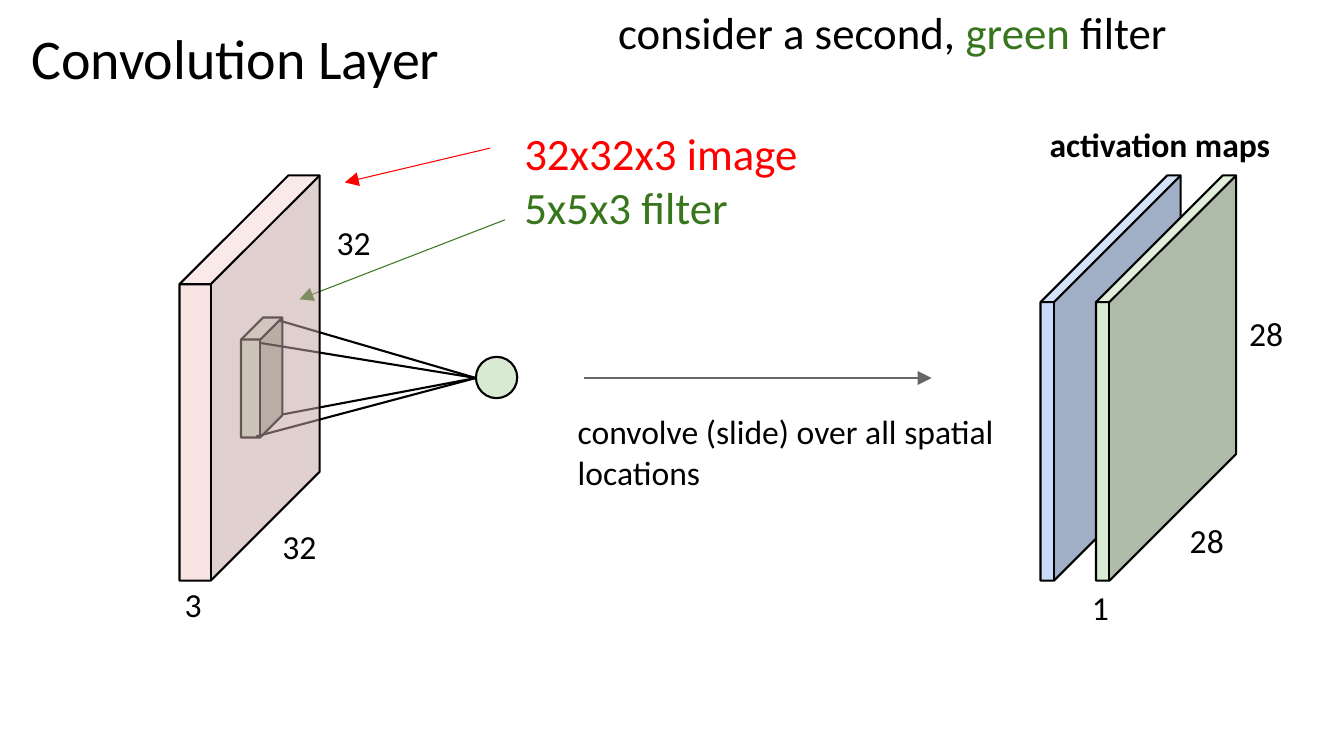
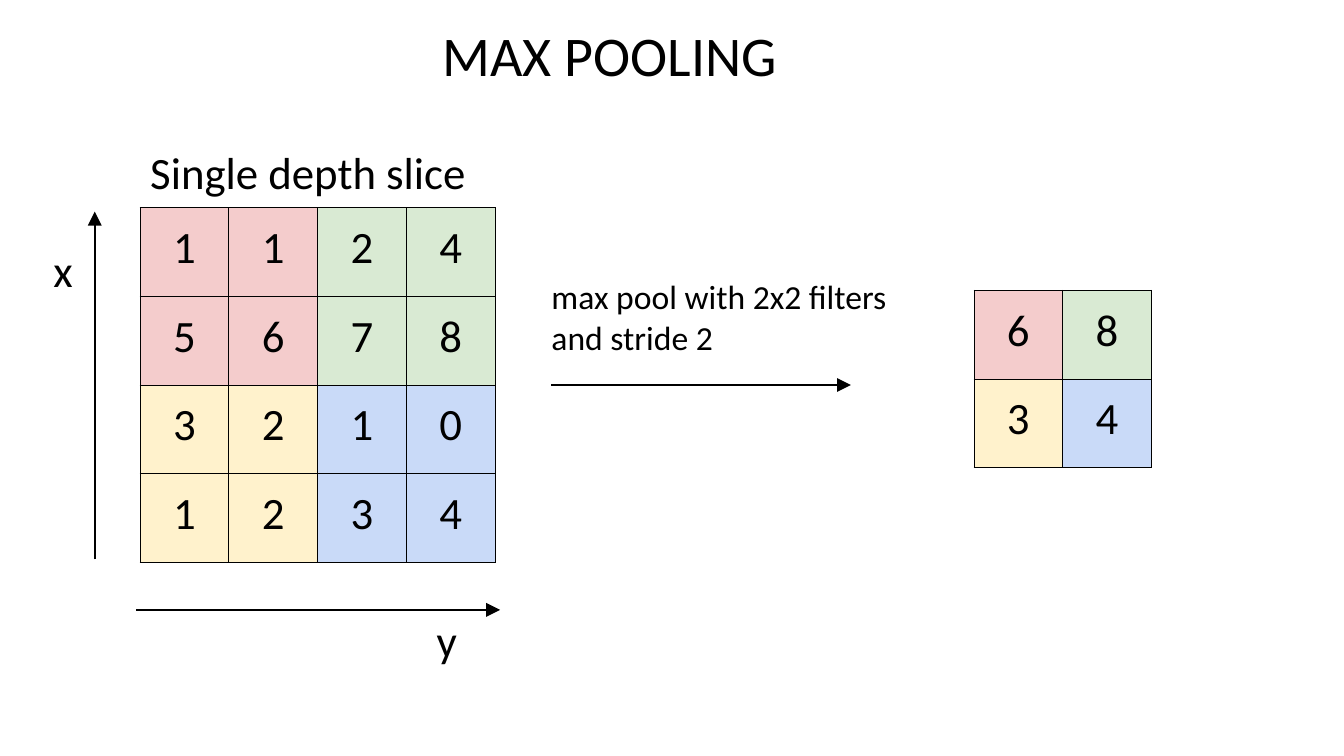
"""Build two slides that explain convolution layers and max pooling."""
from lxml import etree
from pptx import Presentation
from pptx.dml.color import RGBColor
from pptx.enum.shapes import MSO_CONNECTOR as CONNECTOR, MSO_SHAPE as SHAPE
from pptx.enum.text import MSO_ANCHOR as ANCHOR, MSO_AUTO_SIZE as AUTO_SIZE, PP_ALIGN as ALIGN
from pptx.oxml.ns import qn
from pptx.util import Emu, Pt

PX = 9144
FONT = "Calibri"
INSET = 13
BLACK, RED, GREEN, GRAY = "000000", "FF0000", "38761D", "666666"
PINK, MINT, SKY, CREAM = "F4CCCC", "D9EAD3", "C9DAF8", "FFF2CC"
QUADRANTS = ((PINK, MINT), (CREAM, SKY))


def px(n):
    """Turn px into EMU."""
    return Emu(n * PX)


def rgb(color):
    """Turn a hex string into a colour."""
    return RGBColor.from_string(color)


def add_run(p, text, size, color=BLACK, bold=False):
    """Add one formatted run to a paragraph."""
    r = p.add_run()
    r.text = text
    r.font.name = FONT
    r.font.size = Pt(size)
    r.font.bold = bold
    r.font.color.rgb = rgb(color)


def set_frame(tf):
    """Give a text frame the shared insets, wrap and anchor."""
    tf.word_wrap = True
    tf.auto_size = AUTO_SIZE.NONE
    tf.vertical_anchor = ANCHOR.TOP
    tf.margin_left = tf.margin_top = tf.margin_right = tf.margin_bottom = px(INSET)


def add_slide(prs, text, x, y, w, h):
    """Add a title-only slide and place its title."""
    s = prs.slides.add_slide(prs.slide_layouts[5])
    title = s.shapes.title
    title.left, title.top, title.width, title.height = map(px, (x, y, w, h))
    set_frame(title.text_frame)
    p = title.text_frame.paragraphs[0]
    p.alignment = ALIGN.LEFT
    add_run(p, text, 40)
    return s


def add_text(s, x, y, w, h, size, *lines, bold=False):
    """Add a text box whose lines are lists of (text, colour) runs."""
    tf = s.shapes.add_textbox(*map(px, (x, y, w, h))).text_frame
    set_frame(tf)
    for i, line in enumerate(lines):
        p = tf.add_paragraph() if i else tf.paragraphs[0]
        for text, color in line:
            add_run(p, text, size, color, bold)


def add_label(s, x, y, w, h, text, size=24, bold=False):
    """Add a black text box of one run."""
    add_text(s, x, y, w, h, size, [(text, BLACK)], bold=bold)


def add_outlined(s, shape, x, y, w, h, fill, depth=None, opacity=None):
    """Add a filled shape with a black outline."""
    sp = s.shapes.add_shape(shape, *map(px, (x, y, w, h)))
    sp.shadow.inherit = False
    sp.fill.solid()
    sp.fill.fore_color.rgb = rgb(fill)
    sp.line.color.rgb = rgb(BLACK)
    sp.line.width = Pt(1.5)
    if depth is not None:
        sp.adjustments[0] = depth
    if opacity is not None:
        color = sp.element.spPr.find(qn("a:solidFill")).find(qn("a:srgbClr"))
        etree.SubElement(color, qn("a:alpha"), val=str(opacity * 1000))


def add_line(s, x1, y1, x2, y2, color=BLACK, width=1.5, arrow=True):
    """Add a straight line, with an arrowhead at its end if wanted."""
    line = s.shapes.add_connector(CONNECTOR.STRAIGHT, *map(px, (x1, y1, x2, y2)))
    line.line.color.rgb = rgb(color)
    line.line.width = Pt(width)
    spPr = line.element.spPr
    if arrow:
        etree.SubElement(spPr.find(qn("a:ln")), qn("a:tailEnd"), type="triangle", w="lg", len="lg")
    etree.SubElement(spPr, qn("a:effectLst"))


def add_borders(cell):
    """Draw thin black borders round a table cell."""
    tcPr = cell._tc.get_or_add_tcPr()
    for side in "LRTB":
        ln = etree.SubElement(tcPr, qn("a:ln" + side), w=str(Pt(0.75)))
        fill = etree.SubElement(ln, qn("a:solidFill"))
        etree.SubElement(fill, qn("a:srgbClr"), val=BLACK)


def add_grid(s, x, y, rows, cell_size=88):
    """Add a square table of numbers coloured by quadrant."""
    n = len(rows)
    side = px(n * cell_size)
    table = s.shapes.add_table(n, n, px(x), px(y), side, side).table
    table.first_row = table.horz_banding = False
    for i, row in enumerate(rows):
        table.rows[i].height = table.columns[i].width = px(cell_size)
        for j, value in enumerate(row):
            cell = table.cell(i, j)
            add_borders(cell)
            cell.fill.solid()
            cell.fill.fore_color.rgb = rgb(QUADRANTS[2 * i // n][2 * j // n])
            cell.vertical_anchor = ANCHOR.TOP
            cell.margin_left = cell.margin_top = px(INSET)
            cell.margin_right = cell.margin_bottom = px(INSET)
            p = cell.text_frame.paragraphs[0]
            p.alignment = ALIGN.CENTER
            add_run(p, str(value), 32)


def build_convolution(prs):
    """Build the convolution layer slide."""
    s = add_slide(prs, "Convolution Layer", 18, 10, 1123, 92)
    add_outlined(s, SHAPE.CUBE, 1032, 174, 139, 402, SKY, 0.904)
    add_outlined(s, SHAPE.CUBE, 239, 315, 41, 119, MINT, 0.534)
    add_outlined(s, SHAPE.OVAL, 472, 354, 41, 41, MINT)
    for x, y in ((254, 433), (257, 340), (277, 318), (281, 411)):
        add_line(s, x, y, 472, 375, arrow=False)
    add_text(s, 507, 112, 530, 81, 32, [("32x32x3 image", RED)], [("5x5x3 filter", GREEN)])
    add_line(s, 486, 147, 342, 181, RED, 0.75)
    add_line(s, 501, 218, 297, 297, GREEN, 0.75)
    add_line(s, 579, 375, 924, 375, GRAY, 0.75)
    add_label(s, 560, 395, 477, 119, "convolve (slide) over all spatial locations")
    add_outlined(s, SHAPE.CUBE, 1087, 174, 139, 402, MINT, 0.904)
    add_label(s, 1028, 110, 301, 79, "activation maps", bold=True)
    for text, x, y in (("32", 267, 509), ("32", 321, 207), ("3", 170, 566),
                       ("1", 1070, 569), ("28", 1167, 503), ("28", 1226, 297)):
        add_label(s, x, y, 72, 45, text)
    add_outlined(s, SHAPE.CUBE, 178, 174, 139, 402, PINK, 0.777, 52)
    add_text(s, 600, -8, 738, 41, 32,
             [("consider a second, ", BLACK), ("green ", GREEN), ("filter", BLACK)])


def build_pooling(prs):
    """Build the max pooling slide."""
    s = add_slide(prs, "MAX POOLING", 426, 7, 622, 97)
    add_grid(s, 139, 206, ((1, 1, 2, 4), (5, 6, 7, 8), (3, 2, 1, 0), (1, 2, 3, 4)))
    add_label(s, 136, 131, 382, 82, "Single depth slice", 32)
    add_line(s, 94, 555, 94, 210)
    add_label(s, 40, 228, 57, 68, "x", 32)
    add_line(s, 135, 605, 496, 605)
    add_label(s, 420, 595, 57, 53, "y", 32)
    add_line(s, 547, 382, 844, 382)
    add_label(s, 534, 261, 390, 106, "max pool with 2x2 filters and stride 2")
    add_grid(s, 966, 288, ((6, 8), (3, 4)))


def main():
    """Build and save the presentation."""
    prs = Presentation()
    prs.slide_width, prs.slide_height = px(1333), px(750)
    build_convolution(prs)
    build_pooling(prs)
    prs.save("out.pptx")


if __name__ == "__main__":
    main()
